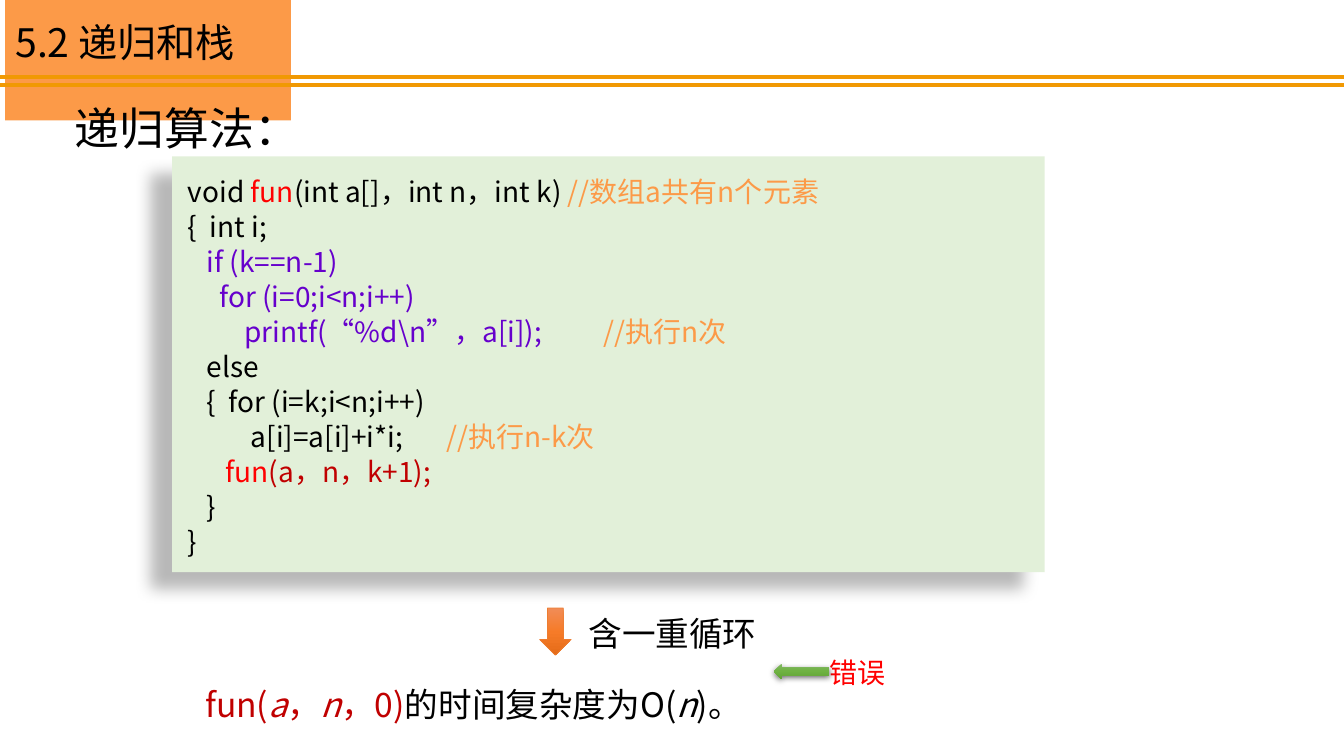
from lxml import etree
from pptx import Presentation
from pptx.dml.color import RGBColor
from pptx.enum.shapes import MSO_CONNECTOR as Link, MSO_SHAPE as Form
from pptx.enum.text import MSO_ANCHOR as Anchor, MSO_AUTO_SIZE as Auto, PP_ALIGN as Align
from pptx.oxml import parse_xml
from pptx.oxml.ns import nsdecls, qn
from pptx.util import Pt

PX = 9525
FONT = "Noto Sans CJK SC"
BLACK = RGBColor(0x00, 0x00, 0x00)
RED = RGBColor(0xFF, 0x00, 0x00)
DARK = RGBColor(0xC0, 0x00, 0x00)
PURPLE = RGBColor(0x66, 0x00, 0xCC)
ORANGE = RGBColor(0xFC, 0x9A, 0x48)
GOLD = RGBColor(0xF1, 0x99, 0x03)
RUST = RGBColor(0xED, 0x7D, 0x31)
PALE = RGBColor(0xE2, 0xF0, 0xD9)


def write(shape, size, lines, pitch=None, stops=()):
    """Fill shape with lines, each a list of (text, colour[, italic]) runs."""
    frame = shape.text_frame
    frame.word_wrap = True
    frame.auto_size = Auto.SHAPE_TO_FIT_TEXT
    frame.vertical_anchor = Anchor.MIDDLE
    for i, line in enumerate(lines):
        para = frame.paragraphs[0] if i == 0 else frame.add_paragraph()
        if i in stops:
            tabs = etree.SubElement(para._p.get_or_add_pPr(), qn("a:tabLst"))
            for stop in stops[i]:
                etree.SubElement(tabs, qn("a:tab"), pos=str(stop * PX), algn="l")
        para.alignment = Align.LEFT
        if pitch:
            para.line_spacing = Pt(pitch)
        for text, color, *slant in line:
            run = para.add_run()
            run.text = text
            font = run.font
            font.name, font.size, font.italic = FONT, Pt(size), bool(slant)
            font.color.rgb = color
            etree.SubElement(run._r.get_or_add_rPr(), qn("a:ea"), typeface=FONT)


def cast(shape, alpha, blur, dist, angle):
    """Give shape a black outer shadow; blur and dist in points."""
    shape._element.spPr.append(parse_xml(
        f'<a:effectLst {nsdecls("a")}><a:outerShdw blurRad="{Pt(blur)}" '
        f'dist="{Pt(dist)}" dir="{angle * 60000}" algn="ctr" rotWithShape="0">'
        f'<a:srgbClr val="000000"><a:alpha val="{alpha * 1000}"/></a:srgbClr>'
        '</a:outerShdw></a:effectLst>'))


prs = Presentation()
prs.slide_width, prs.slide_height = 1280 * PX, 720 * PX
slide = prs.slides.add_slide(prs.slide_layouts[5])
shapes = slide.shapes

# Header
title = shapes.title
title.left, title.top, title.width, title.height = (n * PX for n in (5, 12, 272, 55))
title.fill.solid()
title.fill.fore_color.rgb = ORANGE
write(title, 28, [[("5.2 递归和栈", BLACK)]])
for y in (73, 81):
    rule = shapes.add_connector(Link.STRAIGHT, 0, y * PX, 1280 * PX, y * PX)
    rule.line.color.rgb = GOLD
    rule.line.width = Pt(3)
    etree.SubElement(rule._element.spPr, qn("a:effectLst"))

# Labels
labels = [
    ((62, 91, 533, 61), 32, [("递归算法：", BLACK)]),
    ((781, 619, 98, 42), 20, [("错误", RED)]),
    ((186, 647, 589, 48), 24, [
        ("fun(", DARK), ("a", DARK, True), ("，", DARK), ("n", DARK, True),
        ("，0)", DARK), ("的时间复杂度为O(", BLACK), ("n", BLACK, True), (")。", BLACK)]),
    ((551, 579, 210, 48), 24, [("含一重循环", BLACK)]),
]
for place, size, runs in labels:
    write(shapes.add_textbox(*(n * PX for n in place)), size, [runs])

# Arrows
arrows = [
    (Form.LEFT_ARROW, (737, 632, 53, 15), ("81B861", "6FB242", "62A336")),
    (Form.DOWN_ARROW, (514, 579, 30, 45), ("F18C57", "F67B28", "E56C19")),
]
for form, place, tints in arrows:
    arrow = shapes.add_shape(form, *(n * PX for n in place))
    marks = "".join(f'<a:gs pos="{i * 50000}"><a:srgbClr val="{tint}"/></a:gs>'
                    for i, tint in enumerate(tints))
    arrow._element.spPr.append(parse_xml(
        f'<a:gradFill {nsdecls("a")} rotWithShape="1"><a:gsLst>{marks}</a:gsLst>'
        '<a:lin ang="5400000" scaled="0"/></a:gradFill>'))
    if form == Form.LEFT_ARROW:
        arrow.line.fill.background()
        cast(arrow, 63, 4.5, 1.5, 90)
    else:
        arrow.line.color.rgb = RUST
        arrow.line.width = Pt(0.5)
        arrow.shadow.inherit = False

# Code
code = shapes.add_shape(Form.RECTANGLE, *(n * PX for n in (164, 149, 831, 396)))
code.fill.solid()
code.fill.fore_color.rgb = PALE
code.line.fill.background()
cast(code, 28, 11.8, 19.7, 141)
frame = code.text_frame
frame.margin_left = frame.margin_top = 15 * PX
frame.margin_right, frame.margin_bottom = 10 * PX, 12 * PX
write(code, 20, [
    [("void ", BLACK), ("fun", RED), ("(int a[]，int n，int k) ", BLACK),
     ("//数组a共有n个元素", ORANGE)],
    [("{  int i;", BLACK)],
    [("   if (k==n-1)", PURPLE)],
    [("     for (i=0;i<n;i++)", PURPLE)],
    [("\t printf(“%d\\n”，a[i]);\t  ", PURPLE), ("//执行n次", ORANGE)],
    [("   else", BLACK)],
    [("   {  for (i=k;i<n;i++)", BLACK)],
    [("\t  a[i]=a[i]+i*i;\t ", BLACK), ("//执行n-k次", ORANGE)],
    [("      ", DARK), ("fun", RED), ("(a，n，k+1);", DARK)],
    [("   }", BLACK)],
    [("}", BLACK)],
], pitch=25, stops={4: (48, 384), 7: (48, 240)})

prs.save("out.pptx")
